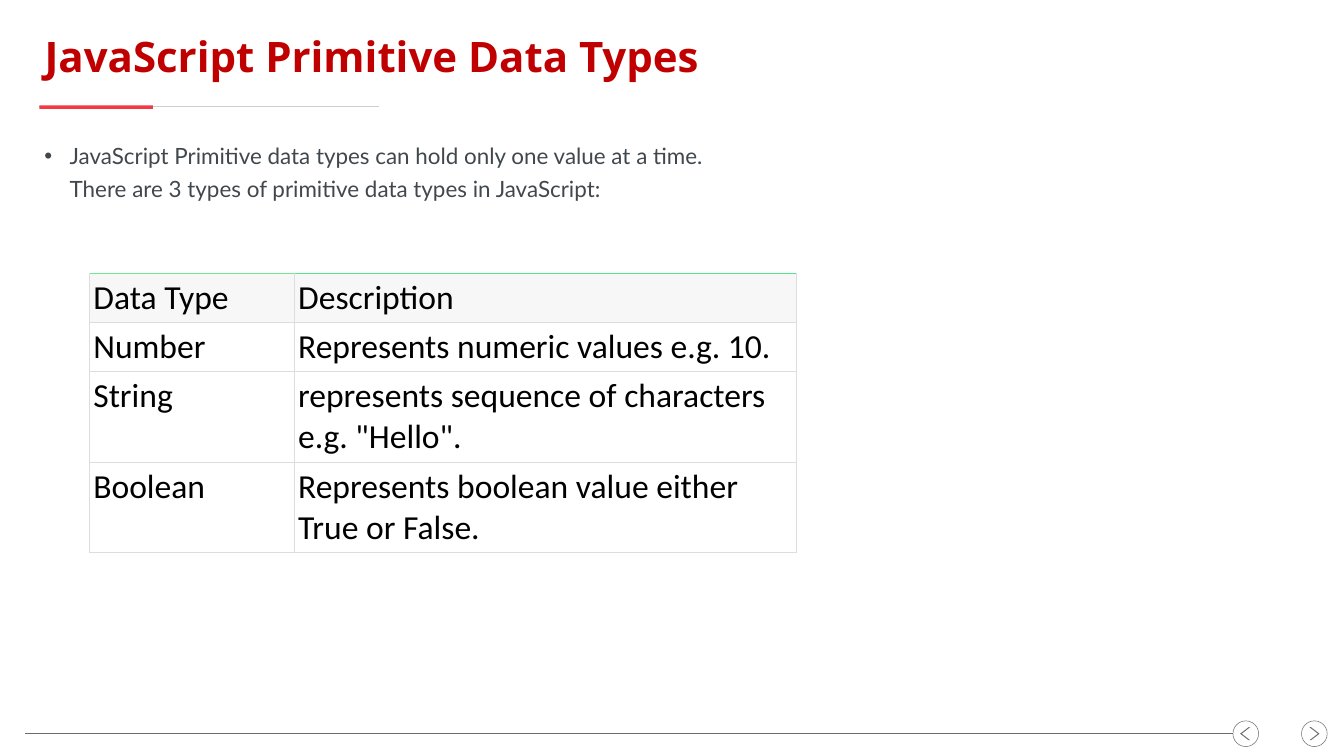
from lxml.etree import SubElement
from pptx import Presentation
from pptx.dml.color import RGBColor
from pptx.enum.shapes import MSO_CONNECTOR, MSO_SHAPE
from pptx.enum.text import MSO_ANCHOR, MSO_AUTO_SIZE, PP_ALIGN
from pptx.oxml.ns import qn
from pptx.util import Pt

RED = RGBColor(0xC0, 0x00, 0x00)
CORAL = RGBColor(0xF2, 0x3A, 0x43)
SILVER = RGBColor(0xCB, 0xD0, 0xD7)
GREY = RGBColor(0x6C, 0x6C, 0x6C)
SLATE = RGBColor(0x41, 0x48, 0x4D)
BLACK = RGBColor(0x00, 0x00, 0x00)
WHITE = RGBColor(0xFF, 0xFF, 0xFF)
PALE = RGBColor(0xF7, 0xF7, 0xF7)
EDGE = RGBColor(0xDD, 0xDD, 0xDD)
GREENS = (RGBColor(0x70, 0xE6, 0x8D), RGBColor(0x50, 0xE6, 0x8D))

ROWS = (
    ("Data Type", "Description"),
    ("Number", "Represents numeric values e.g. 10."),
    ("String", 'represents sequence of characters e.g. "Hello".'),
    ("Boolean", "Represents boolean value either True or False."),
)
NOTE = (
    "JavaScript Primitive data types can hold only one value at a time.",
    "There are 3 types of primitive data types in JavaScript:",
)


def add_run(para, text, face, size, color, bold=False):
    """Add one styled run to a paragraph."""
    run = para.add_run()
    run.text = text
    run.font.name = face
    run.font.size = Pt(size)
    run.font.bold = bold
    run.font.color.rgb = color


def add_rule(slide, x, y, width, color, weight):
    """Draw a level line."""
    rule = slide.shapes.add_connector(
        MSO_CONNECTOR.STRAIGHT, Pt(x), Pt(y), Pt(x + width), Pt(y))
    rule.line.color.rgb = color
    rule.line.width = Pt(weight)
    SubElement(rule._element.spPr, qn("a:effectLst"))


def add_form(slide, kind, box, fill=None, line=None):
    """Draw a preset shape with a plain fill or a thin outline."""
    form = slide.shapes.add_shape(kind, *map(Pt, box))
    form.shadow.inherit = False
    if fill is None:
        form.fill.background()
    else:
        form.fill.solid()
        form.fill.fore_color.rgb = fill
    if line is None:
        form.line.fill.background()
    else:
        form.line.color.rgb = line
        form.line.width = Pt(0.75)
    return form


def add_head(slide, x, y, width, height):
    """Fill the title and draw the two-tone rule below it."""
    title = slide.shapes.title
    title.left, title.top, title.width, title.height = map(
        Pt, (x, y, width, height))
    frame = title.text_frame
    frame.auto_size = MSO_AUTO_SIZE.NONE
    frame.vertical_anchor = MSO_ANCHOR.MIDDLE
    para = frame.paragraphs[0]
    para.alignment = PP_ALIGN.LEFT
    add_run(para, "JavaScript Primitive Data Types", "Open Sans", 60, RED, True)
    add_rule(slide, x, y + 110, 485, SILVER, 1.5)
    add_form(slide, MSO_SHAPE.RECTANGLE, (x, y + 108, 162, 5), CORAL)


def add_note(slide, x, y, width, height):
    """Place the bullet that leads into the table."""
    frame = slide.shapes.add_textbox(*map(Pt, (x, y, width, height))).text_frame
    frame.word_wrap = True
    para = frame.paragraphs[0]
    para.line_spacing = 1.25
    para.space_after = Pt(12)
    props = para._p.get_or_add_pPr()
    props.set("marL", str(Pt(36)))
    props.set("indent", str(-Pt(36)))
    SubElement(props, qn("a:buFont"), typeface="Arial")
    SubElement(props, qn("a:buChar"), char="•")
    for index, text in enumerate(NOTE):
        if index:
            para.add_line_break()
        add_run(para, text, "Lato", 32, SLATE)


def set_edge(cell, side, color):
    """Give one side of a cell a thin border."""
    edge = SubElement(cell._tc.get_or_add_tcPr(), qn(f"a:ln{side}"),
                      w=str(Pt(0.75)))
    fill = SubElement(edge, qn("a:solidFill"))
    SubElement(fill, qn("a:srgbClr"), val=str(color))


def add_grid(slide, x, y, widths, heights):
    """Build the table of data types."""
    grid = slide.shapes.add_table(
        len(heights), len(widths), Pt(x), Pt(y),
        Pt(sum(widths)), Pt(sum(heights))).table
    for col, width in zip(grid.columns, widths):
        col.width = Pt(width)
    for r, (height, texts) in enumerate(zip(heights, ROWS)):
        grid.rows[r].height = Pt(height)
        for c, text in enumerate(texts):
            cell = grid.cell(r, c)
            cell.margin_left = cell.margin_right = Pt(5.76)
            cell.margin_top = cell.margin_bottom = Pt(5.76)
            cell.vertical_anchor = MSO_ANCHOR.TOP if r else MSO_ANCHOR.BOTTOM
            for side in "LRTB":
                top = r == 0 and side == "T"
                set_edge(cell, side, GREENS[c] if top else EDGE)
            cell.fill.solid()
            cell.fill.fore_color.rgb = WHITE if r else PALE
            add_run(cell.text_frame.paragraphs[0], text, "Calibri", 48, BLACK)


def add_button(slide, x, y, size, back=False):
    """Draw a round button with a thin chevron."""
    add_form(slide, MSO_SHAPE.OVAL, (x, y, size, size), line=GREY)
    shift = 10.3 if back else 11.3
    mark = add_form(slide, MSO_SHAPE.CHEVRON, (x + shift, y + 9, 14.4, 18.7), GREY)
    mark.adjustments[0] = 0.844
    mark.rotation = 180 if back else 0


def add_foot(slide, x, y, width, size):
    """Draw the bottom line and the two buttons at its right end."""
    last = x + width - size
    prev = last - 98
    add_button(slide, last, y, size)
    add_button(slide, prev, y, size, back=True)
    add_rule(slide, x, y + size / 2, prev - x, GREY, 0.75)


def main():
    """Build and save the slide."""
    deck = Presentation()
    deck.slide_width, deck.slide_height = Pt(1920), Pt(1080)
    slide = deck.slides.add_slide(deck.slide_layouts[5])
    add_foot(slide, 35.5, 1029.8, 1860.5, 36.7)
    add_head(slide, 56.4, 42.5, 1804, 75)
    add_note(slide, 56.4, 189.4, 1680, 120)
    add_grid(slide, 127.6, 391, (292.6, 718), (70, 70, 129, 129))
    deck.save("out.pptx")


main()
